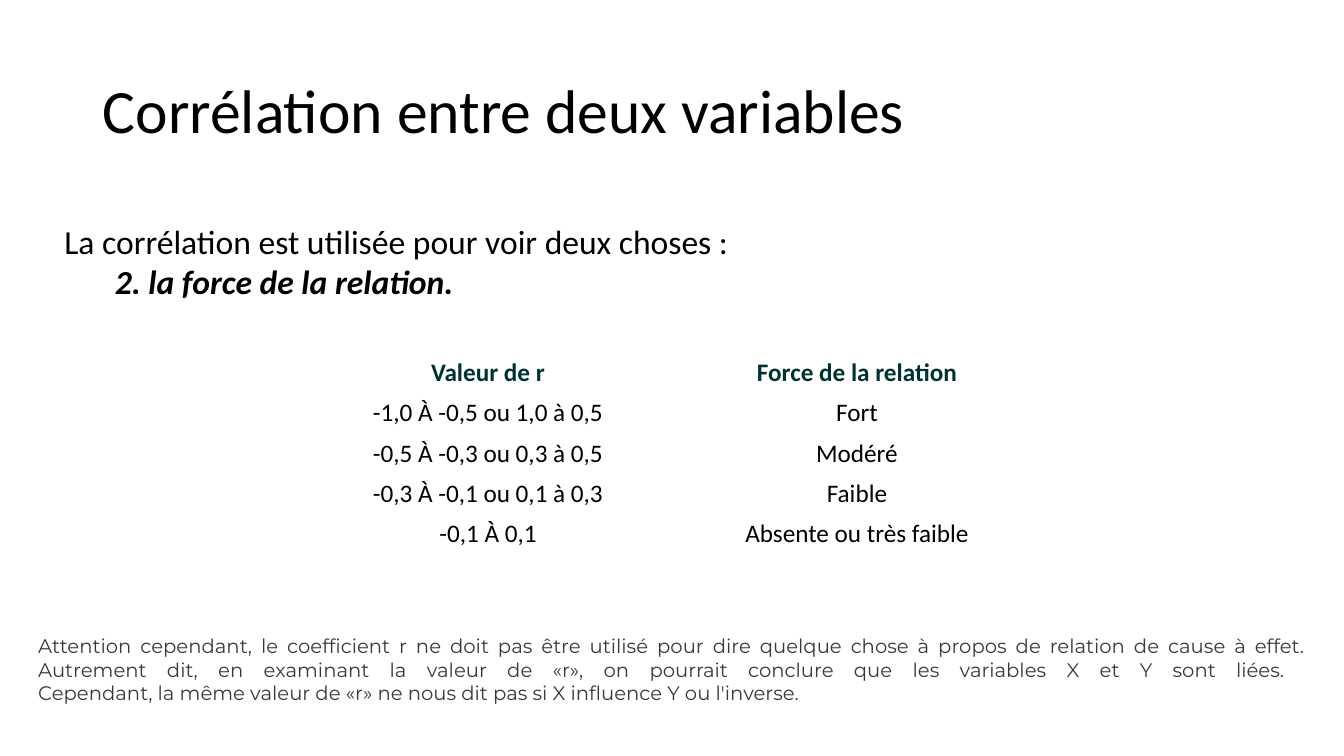
from dataclasses import dataclass

from pptx import Presentation
from pptx.dml.color import RGBColor
from pptx.enum.text import MSO_ANCHOR, MSO_AUTO_SIZE, PP_ALIGN
from pptx.util import Inches, Pt

LEFT, CENTER, JUSTIFY = PP_ALIGN.LEFT, PP_ALIGN.CENTER, PP_ALIGN.JUSTIFY
MIDDLE = MSO_ANCHOR.MIDDLE
FIT_SHAPE = MSO_AUTO_SIZE.SHAPE_TO_FIT_TEXT
NO_AUTOFIT = MSO_AUTO_SIZE.NONE
TITLE_ONLY = 5


@dataclass(frozen=True)
class Theme:
    body_font: str = "Calibri"
    note_font: str = "Montserrat"
    black: RGBColor = RGBColor(0x00, 0x00, 0x00)
    heading: RGBColor = RGBColor(0x00, 0x31, 0x33)
    grey: RGBColor = RGBColor(0x38, 0x39, 0x39)
    title_size: int = 44
    lead_size: int = 24
    table_size: int = 18
    note_size: int = 14


THEME = Theme()

STRENGTHS = [
    ("Valeur de r", "Force de la relation"),
    ("-1,0 À -0,5 ou 1,0 à 0,5", "Fort"),
    ("-0,5 À -0,3 ou 0,3 à 0,5", "Modéré"),
    ("-0,3 À -0,1 ou 0,1 à 0,3", "Faible"),
    ("-0,1 À 0,1", "Absente ou très faible"),
]
# The vertical tab is a line break inside the paragraph
CAUTION = (
    "Attention cependant, le coefficient r ne doit pas être utilisé pour dire "
    "quelque chose à propos de relation de cause à effet. Autrement dit, en "
    "examinant la valeur de «r», on pourrait conclure que les variables X et Y "
    "sont liées. \vCependant, la même valeur de «r» ne nous dit pas si X "
    "influence Y ou l'inverse."
)


def write(paragraph, text, size, color, font=THEME.body_font, align=LEFT, **styles):
    paragraph.text = text
    paragraph.alignment = align
    formats = {"size": Pt(size), "name": font, **styles}
    for run in paragraph.runs:
        for key, value in formats.items():
            setattr(run.font, key, value)
        run.font.color.rgb = color


def add_text_frame(slide, box):
    frame = slide.shapes.add_textbox(*map(Inches, box)).text_frame
    frame.word_wrap = True
    frame.auto_size = FIT_SHAPE
    return frame


def place_title(slide, box):
    title = slide.shapes.title
    title.left, title.top, title.width, title.height = map(Inches, box)
    frame = title.text_frame
    frame.vertical_anchor = MIDDLE
    frame.auto_size = NO_AUTOFIT
    heading = frame.paragraphs[0]
    write(heading, "Corrélation entre deux variables", THEME.title_size, THEME.black)
    heading.line_spacing = 0.9


def add_purpose(slide, box):
    frame = add_text_frame(slide, box)
    write(frame.paragraphs[0], "La corrélation est utilisée pour voir deux choses :",
          THEME.lead_size, THEME.black)
    second_use = frame.add_paragraph()
    write(second_use, "2. la force de la relation.", THEME.lead_size, THEME.black,
          bold=True, italic=True)
    second_use.level = 1
    second_use._p.get_or_add_pPr().set("marL", str(Inches(0.5)))


def add_strength_table(slide, box):
    table = slide.shapes.add_table(len(STRENGTHS), 2, *map(Inches, box)).table
    table.first_row = False
    table.horz_banding = False
    margins = dict.fromkeys(
        ("margin_left", "margin_right", "margin_top", "margin_bottom"), Inches(0.04))
    for row, texts in enumerate(STRENGTHS):
        is_header = row == 0
        for column, text in enumerate(texts):
            cell = table.cell(row, column)
            cell.fill.background()
            cell.vertical_anchor = MIDDLE
            for key, value in margins.items():
                setattr(cell, key, value)
            write(cell.text_frame.paragraphs[0], text, THEME.table_size,
                  THEME.heading if is_header else THEME.black,
                  align=CENTER, bold=is_header)


def add_caution(slide, box):
    frame = add_text_frame(slide, box)
    write(frame.paragraphs[0], CAUTION, THEME.note_size, THEME.grey,
          font=THEME.note_font, align=JUSTIFY)


def main():
    deck = Presentation()
    deck.slide_width, deck.slide_height = Inches(13.33), Inches(7.5)
    slide = deck.slides.add_slide(deck.slide_layouts[TITLE_ONLY])
    place_title(slide, (0.92, 0.4, 11.5, 1.45))
    add_purpose(slide, (0.54, 2.14, 8.75, 0.91))
    add_strength_table(slide, (3.01, 3.5, 7.32, 2))
    add_caution(slide, (0.28, 6.24, 12.77, 0.81))
    deck.save("out.pptx")


if __name__ == "__main__":
    main()
